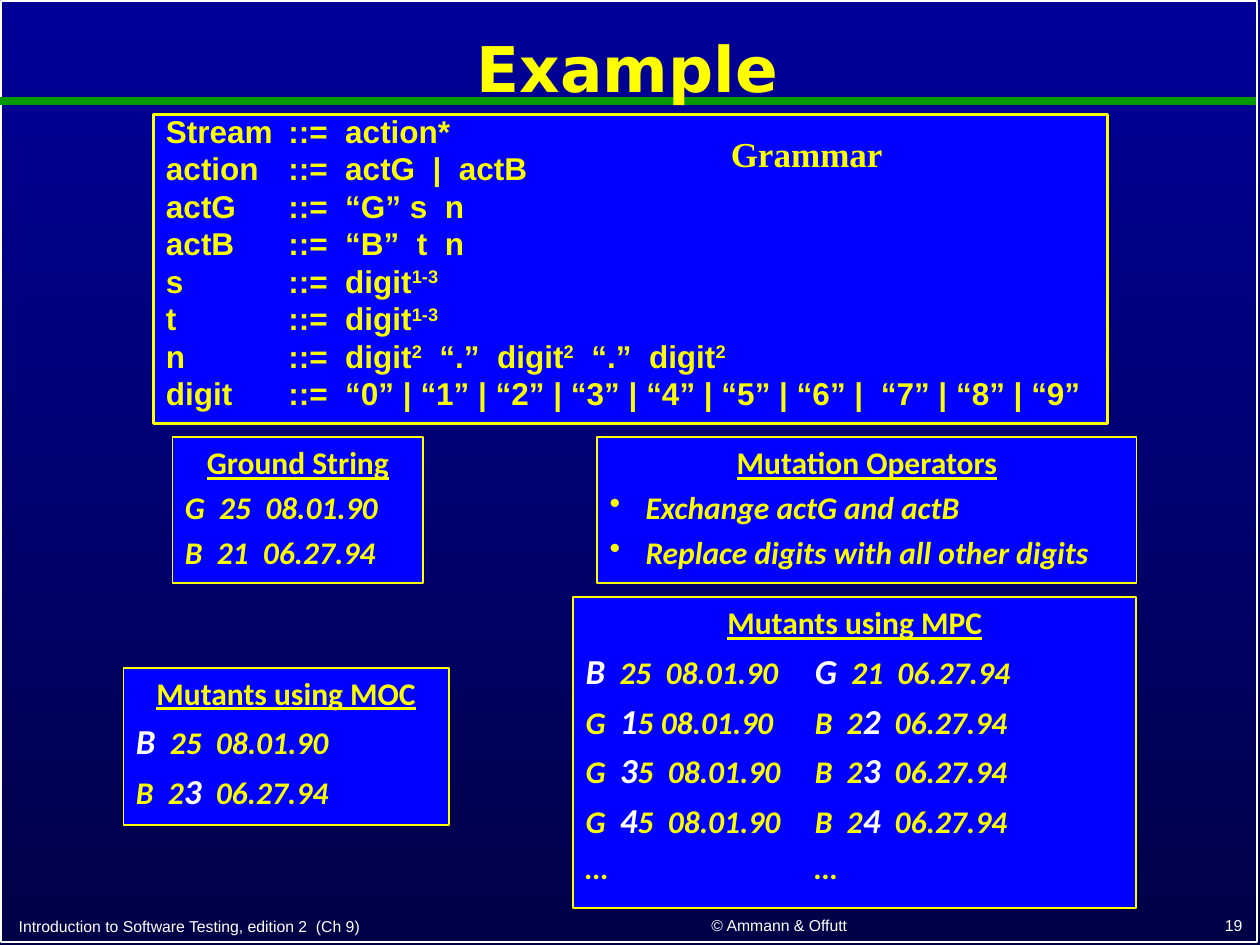
from dataclasses import dataclass
from typing import Callable

from pptx import Presentation
from pptx.dml.color import RGBColor
from pptx.enum.shapes import MSO_CONNECTOR, MSO_SHAPE
from pptx.enum.text import MSO_ANCHOR as Anchor, PP_ALIGN as Align
from pptx.oxml.ns import qn
from pptx.util import Pt
from lxml.etree import SubElement

WHITE = RGBColor(0xFF, 0xFF, 0xFF)
YELLOW = RGBColor(0xFF, 0xFF, 0x00)
TEXT_YELLOW = RGBColor(0xFA, 0xFD, 0x00)
BLUE = RGBColor(0x00, 0x00, 0xFF)
GREEN = RGBColor(0x00, 0x99, 0x00)
GRADIENT = (RGBColor(0x00, 0x00, 0x99), RGBColor(0x00, 0x00, 0x47))

MARK = "^"
BULLET_INDENT = 20.5
GRAMMAR_TAB = 70
MUTANT_TAB = 131


@dataclass(frozen=True)
class Box:
    left: float
    top: float
    width: float
    height: float


@dataclass(frozen=True)
class Label:
    text: str
    box: Box
    font: str
    size: float
    color: RGBColor
    align: Align = Align.LEFT
    anchor: Anchor = Anchor.TOP
    bold: bool = False
    wrap: bool = True


@dataclass(frozen=True)
class Panel:
    heading: str
    lines: tuple[str, ...]
    box: Box
    bulleted: bool = False


LABELS = (
    Label("Introduction to Software Testing, edition 2  (Ch 9)", Box(3.6, 517.5, 313, 20.5),
          "Arial", 9, WHITE, Align.LEFT, Anchor.BOTTOM, wrap=False),
    Label("© Ammann & Offutt", Box(331, 517, 228.5, 20.5),
          "Arial", 9, WHITE, Align.CENTER, Anchor.BOTTOM, wrap=False),
    Label("19", Box(567.5, 516.5, 149.5, 21),
          "Arial", 9, WHITE, Align.RIGHT, Anchor.BOTTOM, wrap=False),
    Label("Example", Box(0.7, 8, 715.7, 60.5),
          "DejaVu Sans", 36, YELLOW, Align.CENTER, Anchor.MIDDLE, bold=True),
    Label("Grammar", Box(410.5, 72, 108.5, 31), "Times New Roman", 20, TEXT_YELLOW, bold=True),
)

PANELS = (
    Panel("Ground String", ("G  25  08.01.90", "B  21  06.27.94"), Box(98.6, 249.8, 143.3, 83.5)),
    Panel("Mutation Operators",
          ("Exchange actG and actB", "Replace digits with all other digits"),
          Box(341.3, 249.8, 308.2, 83.5), bulleted=True),
    Panel("Mutants using MOC", ("^B^  25  08.01.90", "B  2^3^  06.27.94"),
          Box(70.6, 381.6, 185.8, 90)),
    Panel("Mutants using MPC",
          ("^B^  25  08.01.90\t^G^  21  06.27.94",
           "G  ^1^5 08.01.90\tB  2^2^  06.27.94",
           "G  ^3^5  08.01.90\tB  2^3^  06.27.94",
           "G  ^4^5  08.01.90\tB  2^4^  06.27.94",
           "…\t…"),
          Box(327.6, 341.3, 321.8, 177.8)),
)

GRAMMAR_BOX = Box(87.8, 65.5, 545, 176.4)
GRAMMAR = (
    ("Stream", "action*"),
    ("action", "actG  |  actB"),
    ("actG", "“G” s  n"),
    ("actB", "“B”  t  n"),
    ("s", "digit^1-3^"),
    ("t", "digit^1-3^"),
    ("n", "digit^2^  “.”  digit^2^  “.”  digit^2^"),
    ("digit", "“0” | “1” | “2” | “3” | “4” | “5” | “6” |  “7” | “8” | “9”"),
)


def place(box: Box) -> tuple[Pt, Pt, Pt, Pt]:
    return Pt(box.left), Pt(box.top), Pt(box.width), Pt(box.height)


def style(font, name: str, size: float, color: RGBColor, bold: bool) -> None:
    font.name = name
    font.size = Pt(size)
    font.bold = bold
    font.color.rgb = color


def raise_text(font) -> None:
    font._element.set("baseline", "30000")


def highlight(font) -> None:
    font.size = Pt(20)
    font.color.rgb = WHITE


def add_marked_runs(paragraph, text: str, font_name: str, italic: bool,
                    emphasise: Callable) -> None:
    for index, part in enumerate(text.split(MARK)):
        if not part:
            continue
        run = paragraph.add_run()
        run.text = part
        style(run.font, font_name, 18, TEXT_YELLOW, True)
        run.font.italic = italic
        if index % 2:
            emphasise(run.font)


def add_tab_stop(paragraph, position: float) -> None:
    tabs = SubElement(paragraph._p.get_or_add_pPr(), qn("a:tabLst"))
    SubElement(tabs, qn("a:tab"), pos=str(Pt(position)), algn="l")


def add_bullet(paragraph) -> None:
    properties = paragraph._p.get_or_add_pPr()
    properties.set("marL", str(Pt(BULLET_INDENT)))
    properties.set("indent", str(Pt(-BULLET_INDENT)))
    SubElement(properties, qn("a:buChar"), char="•")


def add_frame(slide, box: Box, line_color: RGBColor, line_width: float):
    shape = slide.shapes.add_shape(MSO_SHAPE.RECTANGLE, *place(box))
    shape.shadow.inherit = False
    shape.fill.background()
    shape.line.color.rgb = line_color
    shape.line.width = Pt(line_width)
    return shape


def add_text_panel(slide, box: Box, line_width: float):
    shape = add_frame(slide, box, YELLOW, line_width)
    shape.fill.solid()
    shape.fill.fore_color.rgb = BLUE
    shape.text_frame.vertical_anchor = Anchor.TOP
    shape.text_frame.word_wrap = True
    return shape.text_frame


def add_label(slide, label: Label) -> None:
    text_frame = slide.shapes.add_textbox(*place(label.box)).text_frame
    text_frame.word_wrap = label.wrap
    text_frame.vertical_anchor = label.anchor
    text_frame.text = label.text
    paragraph = text_frame.paragraphs[0]
    paragraph.alignment = label.align
    style(paragraph.runs[0].font, label.font, label.size, label.color, label.bold)


def add_panel(slide, panel: Panel) -> None:
    text_frame = add_text_panel(slide, panel.box, 1)
    text_frame.text = panel.heading
    heading = text_frame.paragraphs[0]
    heading.alignment = Align.CENTER
    style(heading.runs[0].font, "Calibri", 18, TEXT_YELLOW, True)
    heading.runs[0].font.underline = True
    for line in panel.lines:
        paragraph = text_frame.add_paragraph()
        paragraph.alignment = Align.LEFT
        paragraph.space_before = Pt(4.5 if MARK in line else 4)
        if panel.bulleted:
            add_bullet(paragraph)
        if "\t" in line:
            add_tab_stop(paragraph, MUTANT_TAB)
        add_marked_runs(paragraph, line, "Calibri", True, highlight)


def add_grammar(slide) -> None:
    text_frame = add_text_panel(slide, GRAMMAR_BOX, 1.5)
    for index, (symbol, rule) in enumerate(GRAMMAR):
        paragraph = text_frame.add_paragraph() if index else text_frame.paragraphs[0]
        paragraph.alignment = Align.LEFT
        paragraph.line_spacing = 0.75
        paragraph.space_before = Pt(5.2)
        add_tab_stop(paragraph, GRAMMAR_TAB)
        add_marked_runs(paragraph, f"{symbol}\t::=  {rule}", "Arial", False, raise_text)


def add_backdrop(slide) -> None:
    fill = slide.background.fill
    fill.gradient()
    fill.gradient_angle = 270
    for stop, color, position in zip(fill.gradient_stops, GRADIENT, (0, 1)):
        stop.color.rgb = color
        stop.position = position
    add_frame(slide, Box(0.7, 0.7, 717.8, 537.8), WHITE, 1)
    rule = slide.shapes.add_connector(MSO_CONNECTOR.STRAIGHT, Pt(0), Pt(57.6), Pt(717.8), Pt(57.6))
    rule.line.color.rgb = GREEN
    rule.line.width = Pt(4.5)
    SubElement(rule._element.spPr, qn("a:effectLst"))


def main() -> None:
    presentation = Presentation()
    presentation.slide_width, presentation.slide_height = Pt(720), Pt(540)
    slide = presentation.slides.add_slide(presentation.slide_layouts[6])
    add_backdrop(slide)
    for panel in PANELS:
        add_panel(slide, panel)
    add_grammar(slide)
    for label in LABELS:
        add_label(slide, label)
    presentation.save("out.pptx")


if __name__ == "__main__":
    main()
